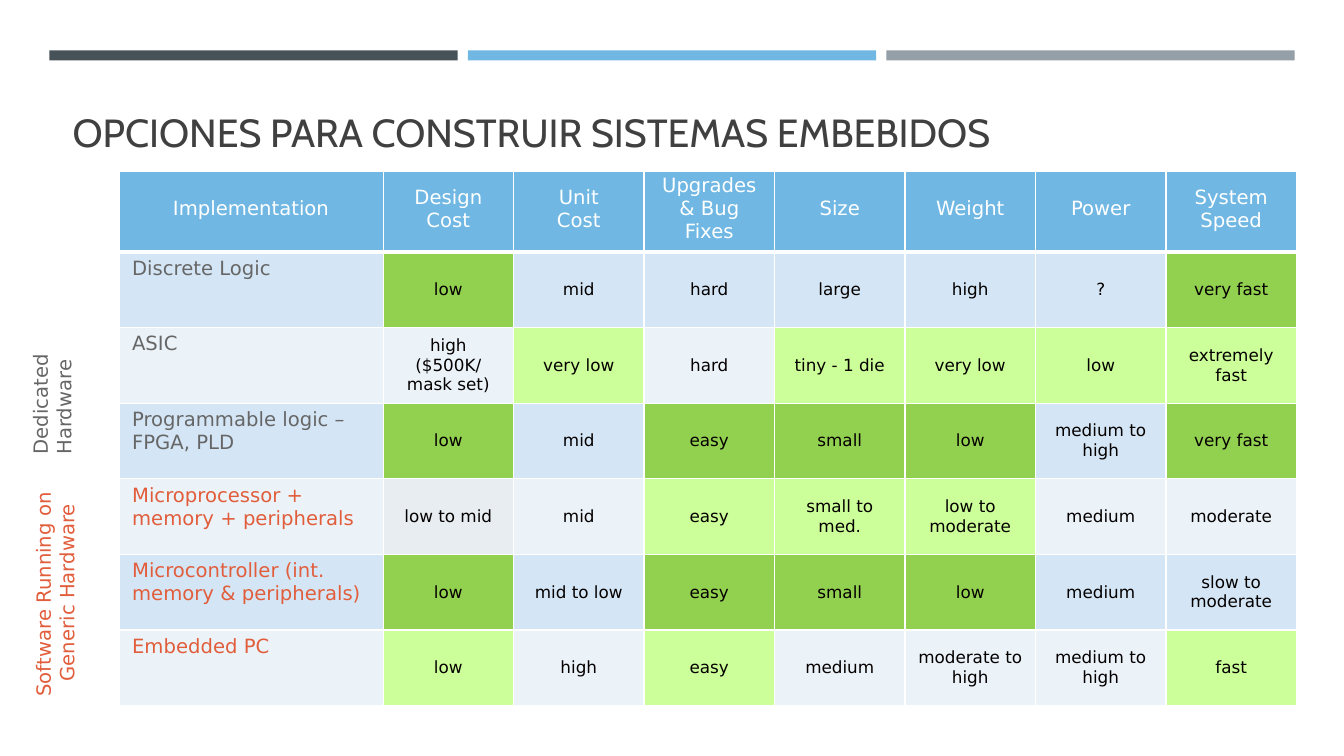
from lxml import etree
from pptx import Presentation
from pptx.dml.color import RGBColor
from pptx.enum.shapes import MSO_SHAPE
from pptx.enum.text import MSO_ANCHOR, MSO_AUTO_SIZE, PP_ALIGN
from pptx.oxml.ns import qn
from pptx.util import Inches, Pt

WHITE = RGBColor(0xFF, 0xFF, 0xFF)
SLATE = RGBColor(0x46, 0x52, 0x58)
BLUE = RGBColor(0x70, 0xB8, 0xE3)
SILVER = RGBColor(0x95, 0x9F, 0xA7)
TITLE_GRAY = RGBColor(0x40, 0x40, 0x40)
HARDWARE_GRAY = RGBColor(0x66, 0x66, 0x66)
SOFTWARE_RED = RGBColor(0xE1, 0x5D, 0x3B)
INK = RGBColor(0x04, 0x00, 0x00)
BAND_DARK = RGBColor(0xD4, 0xE6, 0xF5)
BAND_LIGHT = RGBColor(0xEB, 0xF3, 0xF9)
MARKS = {
    "G": RGBColor(0x92, 0xD0, 0x50),
    "L": RGBColor(0xCC, 0xFF, 0x99),
    "N": RGBColor(0xE7, 0xED, 0xF0),
}

HEADERS = ["Implementation", "Design Cost", "Unit Cost", "Upgrades & Bug Fixes",
           "Size", "Weight", "Power", "System Speed"]
# Each row: label, label colour, one mark per rating ("-" keeps the band), ratings
OPTIONS = [
    ("Discrete Logic", HARDWARE_GRAY, "G-----G",
     ["low", "mid", "hard", "large", "high", "?", "very fast"]),
    ("ASIC", HARDWARE_GRAY, "-L-LLLL",
     ["high ($500K/\nmask set)", "very low", "hard", "tiny - 1 die", "very low",
      "low", "extremely fast"]),
    ("Programmable logic –\nFPGA, PLD", HARDWARE_GRAY, "G-GGG-G",
     ["low", "mid", "easy", "small", "low", "medium to high", "very fast"]),
    ("Microprocessor + memory + peripherals", SOFTWARE_RED, "N-LLL--",
     ["low to mid", "mid", "easy", "small to med.", "low to moderate", "medium",
      "moderate"]),
    ("Microcontroller (int. memory & peripherals)", SOFTWARE_RED, "G-GGG--",
     ["low", "mid to low", "easy", "small", "low", "medium", "slow to moderate"]),
    ("Embedded PC", SOFTWARE_RED, "L-L---L",
     ["low", "high", "easy", "medium", "moderate to high", "medium to high", "fast"]),
]
# Side margins that make these cells break after the first word
NARROW = {"Unit Cost": 0.25, "high ($500K/\nmask set)": 0.2}


def write(frame, text, size, color, font="DejaVu Sans", align=PP_ALIGN.LEFT):
    frame.word_wrap = True
    frame.text = text
    for para in frame.paragraphs:
        para.alignment = align
        for span in para.runs:
            span.font.name = font
            span.font.size = Pt(size)
            span.font.color.rgb = color


def style_cell(cell, fill, margins, top_width=1, bottom_width=1):
    """Fill a cell, set its left, top, right and bottom margins and white borders."""
    cell.margin_left, cell.margin_top, cell.margin_right, cell.margin_bottom = map(
        Inches, margins)
    properties = cell._tc.get_or_add_tcPr()
    for side, width in (("L", 1), ("R", 1), ("T", top_width), ("B", bottom_width)):
        line = etree.SubElement(properties, qn(f"a:ln{side}"), w=str(Pt(width)))
        solid = etree.SubElement(line, qn("a:solidFill"))
        etree.SubElement(solid, qn("a:srgbClr"), val=str(WHITE))
    cell.fill.solid()
    cell.fill.fore_color.rgb = fill


deck = Presentation()
deck.slide_width = Inches(13.33)
deck.slide_height = Inches(7.5)
page = deck.slides.add_slide(deck.slide_layouts[5])

for index, color in enumerate([SLATE, BLUE, SILVER]):
    bar = page.shapes.add_shape(MSO_SHAPE.RECTANGLE, Inches(0.49 + index * 4.15),
                                Inches(0.5), Inches(4.05), Inches(0.1))
    bar.shadow.inherit = False
    bar.fill.solid()
    bar.fill.fore_color.rgb = color
    bar.line.fill.background()

title = page.shapes.title
title.left, title.top = Inches(0.72), Inches(1.06)
title.width, title.height = Inches(10.51), Inches(0.49)
frame = title.text_frame
frame.margin_left = frame.margin_top = frame.margin_right = frame.margin_bottom = 0
frame.auto_size = MSO_AUTO_SIZE.NONE
frame.vertical_anchor = MSO_ANCHOR.MIDDLE
write(frame, "OPCIONES PARA CONSTRUIR SISTEMAS EMBEBIDOS", 28, TITLE_GRAY, font="Cabin")

for text, color, left, top, height, hanging in [
    ("Dedicated \vHardware", HARDWARE_GRAY, 0.28, 2.51, 2.01, (0.01, 0)),
    ("Software Running on Generic Hardware", SOFTWARE_RED, 0.31, 4.85, 2.07,
     (0.16, -0.15)),
]:
    box = page.shapes.add_textbox(Inches(left), Inches(top), Inches(0.5), Inches(height))
    frame = box.text_frame
    frame.margin_left = frame.margin_right = frame.margin_bottom = 0
    frame.margin_top = Inches(0.02)
    write(frame, text, 14, color)
    frame._txBody.bodyPr.set("vert", "vert270")
    margin, indent = hanging
    paragraph_properties = frame.paragraphs[0]._p.get_or_add_pPr()
    paragraph_properties.set("marL", str(Inches(margin)))
    paragraph_properties.set("indent", str(Inches(indent)))

table = page.shapes.add_table(len(OPTIONS) + 1, len(HEADERS), Inches(1.18), Inches(1.7),
                              Inches(11.68), Inches(5.3)).table
for index, column in enumerate(table.columns):
    column.width = Inches(2.62 if index == 0 else (11.68 - 2.62) / 7)
for index, row in enumerate(table.rows):
    row.height = Inches(0.8 if index == 0 else 0.75)

for index, header in enumerate(HEADERS):
    cell = table.cell(0, index)
    side = NARROW.get(header, 0.15)
    style_cell(cell, BLUE, (side, 0, side, 0.05), bottom_width=3)
    cell.vertical_anchor = MSO_ANCHOR.MIDDLE
    write(cell.text_frame, header, 14, WHITE, align=PP_ALIGN.CENTER)

for row_index, (label, label_color, marks, ratings) in enumerate(OPTIONS, start=1):
    band = BAND_DARK if row_index % 2 else BAND_LIGHT
    top_width = 3 if row_index == 1 else 1
    cell = table.cell(row_index, 0)
    style_cell(cell, band, (0.13, 0.05, 0.1, 0), top_width)
    write(cell.text_frame, label, 14, label_color)
    for column_index, (mark, rating) in enumerate(zip(marks, ratings), start=1):
        cell = table.cell(row_index, column_index)
        side = NARROW.get(rating, 0.1)
        style_cell(cell, MARKS.get(mark, band), (side, 0, side, 0), top_width)
        cell.vertical_anchor = MSO_ANCHOR.MIDDLE
        write(cell.text_frame, rating, 12, INK, align=PP_ALIGN.CENTER)

deck.save("out.pptx")
